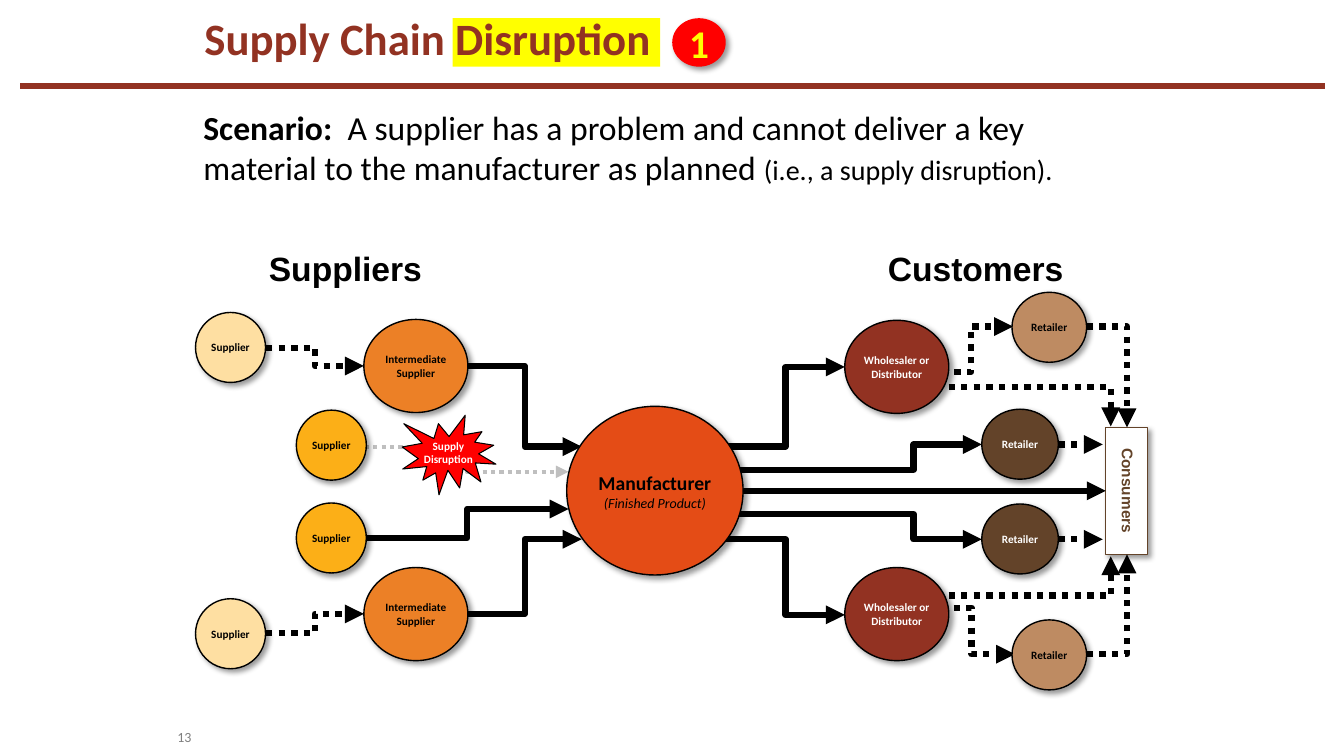
from lxml import etree
from pptx import Presentation
from pptx.dml.color import RGBColor
from pptx.enum.dml import MSO_LINE
from pptx.enum.shapes import MSO_CONNECTOR, MSO_SHAPE
from pptx.enum.text import MSO_ANCHOR, PP_ALIGN
from pptx.oxml.ns import qn
from pptx.util import Pt

OVAL = MSO_SHAPE.OVAL
RECTANGLE = MSO_SHAPE.RECTANGLE
BURST = MSO_SHAPE.EXPLOSION1
STRAIGHT = MSO_CONNECTOR.STRAIGHT
ELBOW = MSO_CONNECTOR.ELBOW
DOTTED = MSO_LINE.ROUND_DOT
LEFT = PP_ALIGN.LEFT
CENTER = PP_ALIGN.CENTER
TOP = MSO_ANCHOR.TOP
MIDDLE = MSO_ANCHOR.MIDDLE
BOTTOM = MSO_ANCHOR.BOTTOM

BLACK = RGBColor(0x00, 0x00, 0x00)
WHITE = RGBColor(0xFF, 0xFF, 0xFF)
RED = RGBColor(0xFF, 0x00, 0x00)
YELLOW = RGBColor(0xFF, 0xFF, 0x00)
GRAY = RGBColor(0x7F, 0x7F, 0x7F)
SILVER = RGBColor(0xBF, 0xBF, 0xBF)
BRICK = RGBColor(0x92, 0x32, 0x22)
CREAM = RGBColor(0xFE, 0xDF, 0xA2)
AMBER = RGBColor(0xFC, 0xAF, 0x17)
ORANGE = RGBColor(0xEC, 0x80, 0x26)
FLAME = RGBColor(0xE4, 0x4C, 0x16)
TAN = RGBColor(0xBE, 0x8B, 0x62)
COCOA = RGBColor(0x63, 0x43, 0x29)


def add_run(paragraph, text, size=8, color=BLACK, bold=False, italic=False,
            font="Calibri"):
    run = paragraph.add_run()
    run.text = text
    run.font.name = font
    run.font.size = Pt(size)
    run.font.bold = bold
    run.font.italic = italic
    run.font.color.rgb = color


class SlideBuilder:
    def __init__(self, slide):
        self.shapes = slide.shapes
        self.route_width = 4.5

    def fill_text(self, frame, paragraphs, align=LEFT, anchor=TOP, wrap=True,
                  insets=(7.2, 3.6), spacing=None):
        frame.word_wrap = wrap
        frame.vertical_anchor = anchor
        frame.margin_left = frame.margin_right = Pt(insets[0])
        frame.margin_top = frame.margin_bottom = Pt(insets[1])
        for index, runs in enumerate(paragraphs):
            paragraph = frame.add_paragraph() if index else frame.paragraphs[0]
            paragraph.alignment = align
            if spacing:
                paragraph.line_spacing = spacing
            for text, style in runs:
                add_run(paragraph, text, **style)

    def text(self, box, paragraphs, **layout):
        label = self.shapes.add_textbox(*map(Pt, box))
        self.fill_text(label.text_frame, paragraphs, **layout)

    def shape(self, kind, box, fill, outline=None, width=1.0, shadow=False,
              paragraphs=(), **layout):
        figure = self.shapes.add_shape(kind, *map(Pt, box))
        figure.fill.solid()
        figure.fill.fore_color.rgb = fill
        if outline is None:
            figure.line.fill.background()
        else:
            figure.line.color.rgb = outline
            figure.line.width = Pt(width)
        figure.shadow.inherit = False
        if shadow:
            effects = figure._element.spPr.find(qn("a:effectLst"))
            outer = etree.SubElement(
                effects, qn("a:outerShdw"), blurRad=str(Pt(4)),
                dist=str(Pt(3)), dir="2700000", algn="tl", rotWithShape="0")
            tint = etree.SubElement(outer, qn("a:srgbClr"), val="000000")
            etree.SubElement(tint, qn("a:alpha"), val="40000")
        style = {"align": CENTER, "anchor": MIDDLE, "insets": (0, 0), **layout}
        self.fill_text(figure.text_frame, paragraphs, **style)
        return figure

    def node(self, left, top, size, fill, label, color=BLACK):
        self.shape(OVAL, (left, top, *size), fill, BLACK, shadow=True,
                   paragraphs=[[(label, dict(color=color, bold=True))]])

    def route(self, start, end, kind=ELBOW, color=BLACK, width=None,
              dotted=False, arrow=True, corner=False, turn=None):
        link = self.shapes.add_connector(kind, *map(Pt, start + end))
        link.line.color.rgb = color
        link.line.width = Pt(width or self.route_width)
        if dotted:
            link.line.dash_style = DOTTED
        properties = link._element.spPr
        if arrow:
            etree.SubElement(properties.find(qn("a:ln")), qn("a:tailEnd"),
                             type="triangle")
        geometry = properties.find(qn("a:prstGeom"))
        if corner:
            geometry.set("prst", "bentConnector2")
        if turn:
            etree.SubElement(geometry.find(qn("a:avLst")), qn("a:gd"),
                             name="adj1", fmla=f"val {round(turn * 100000)}")
        etree.SubElement(properties, qn("a:effectLst"))


def draw_heading(page):
    page.route((14.4, 61.2), (946.1, 61.2), STRAIGHT, BRICK, arrow=False)
    page.shape(RECTANGLE, (323.3, 13, 148.3, 34.6), YELLOW)
    page.text((139, 10.8, 684, 38.9),
              [[("Supply Chain Disruption", dict(size=32, color=BRICK, bold=True))]],
              anchor=BOTTOM, spacing=0.8)
    page.shape(OVAL, (480.2, 13, 38.2, 34.6), RED, shadow=True,
               paragraphs=[[("1", dict(size=28, color=YELLOW, bold=True))]])
    page.text((138.2, 72.7, 683.3, 65.5), [[
        ("Scenario:  ", dict(size=24, bold=True)),
        ("A supplier has a problem and cannot deliver a key material to the "
         "manufacturer as planned ", dict(size=24)),
        ("(i.e., a supply disruption).", dict(size=20))]])
    page.text((126.7, 519.8, 15.1, 13.7), [[("13", dict(size=10, color=GRAY))]],
              anchor=MIDDLE, insets=(0, 0))
    for left, width, side in ((185, 124.6, "Suppliers"), (627.1, 141.1, "Customers")):
        page.text((left, 173.5, width, 36),
                  [[(side, dict(size=24, bold=True, font="Arial"))]], wrap=False)


def draw_suppliers(page):
    page.route((260.6, 319), (406.1, 337), color=SILVER, width=3, dotted=True)
    warning = dict(color=WHITE, bold=True)
    page.shape(BURST, (287.3, 296.6, 67, 56.9), RED, BLACK, 0.75, wrap=False,
               paragraphs=[[("Supply", warning)], [("Disruption", warning)]])
    page.route((261.4, 384.5), (406.1, 363.6))
    for left, top, fill in ((139.7, 223.2, CREAM), (211.7, 293, AMBER),
                            (211.7, 359.3, AMBER), (139.7, 427.7, CREAM)):
        page.node(left, top, (50, 50), fill, "Supplier")
    for top in (228.2, 405.4):
        page.node(259.9, top, (74.3, 66.5), ORANGE, "Intermediate Supplier")
    for supplier_y, intermediate_y, manufacturer_y in ((248.4, 261.4, 319),
                                                       (452.2, 438.5, 385.2)):
        page.route((190.1, supplier_y), (259.9, intermediate_y), dotted=True)
        page.route((334.1, intermediate_y), (415.5, manufacturer_y))


def draw_customers(page):
    consumers = page.shape(
        RECTANGLE, (789.8, 305.3, 30.2, 90.7), WHITE, COCOA, 0.75, shadow=True,
        paragraphs=[[("Consumers", dict(size=11, color=COCOA, bold=True, font="Arial"))]],
        wrap=False, insets=(7.2, 3.6), spacing=0.9)
    consumers.text_frame._txBody.bodyPr.set("vert", "vert")

    page.route((663.8, 265.7), (723.6, 233.3), dotted=True)
    page.route((663.1, 434.2), (725, 467.3), dotted=True)
    page.route((518.8, 319), (603.4, 262.1))
    page.route((518.8, 385.2), (603.4, 439.2))
    page.route((530.6, 350.6), (789.8, 350.6), STRAIGHT)
    for manufacturer_y, retailer_y in ((335.5, 317.5), (367.2, 385.2)):
        page.route((480, manufacturer_y), (701.3, retailer_y), turn=0.78)
    for wholesaler_y, consumers_y in ((276.5, 304.6), (425.5, 397.4)):
        page.route((659.5, wholesaler_y), (793.4, consumers_y), dotted=True, corner=True)

    for top in (208.8, 442.8):
        page.node(722.9, top, (53.3, 50), TAN, "Retailer")
    for top in (292.3, 360):
        page.node(701.3, top, (54.7, 50), COCOA, "Retailer", WHITE)
    for top in (228.8, 405.4):
        page.node(603.4, top, (74.3, 66.5), BRICK, "Wholesaler or Distributor", WHITE)

    for retailer_y, consumers_y in ((233.3, 305.3), (467.3, 396)):
        page.route((776.2, retailer_y), (805, consumers_y), dotted=True, corner=True)
    for retailer_y in (317.5, 385.2):
        page.route((756, retailer_y), (787.7, retailer_y), STRAIGHT, dotted=True)


def main():
    deck = Presentation()
    deck.slide_width = Pt(960)
    deck.slide_height = Pt(540)
    page = SlideBuilder(deck.slides.add_slide(deck.slide_layouts[6]))
    draw_heading(page)
    draw_suppliers(page)
    draw_customers(page)
    page.shape(OVAL, (404.8, 290.2, 126, 120.5), FLAME, BLACK, shadow=True,
               paragraphs=[[("Manufacturer", dict(size=14, bold=True))],
                           [("(Finished Product)", dict(size=10, italic=True))]])
    deck.save("out.pptx")


if __name__ == "__main__":
    main()
